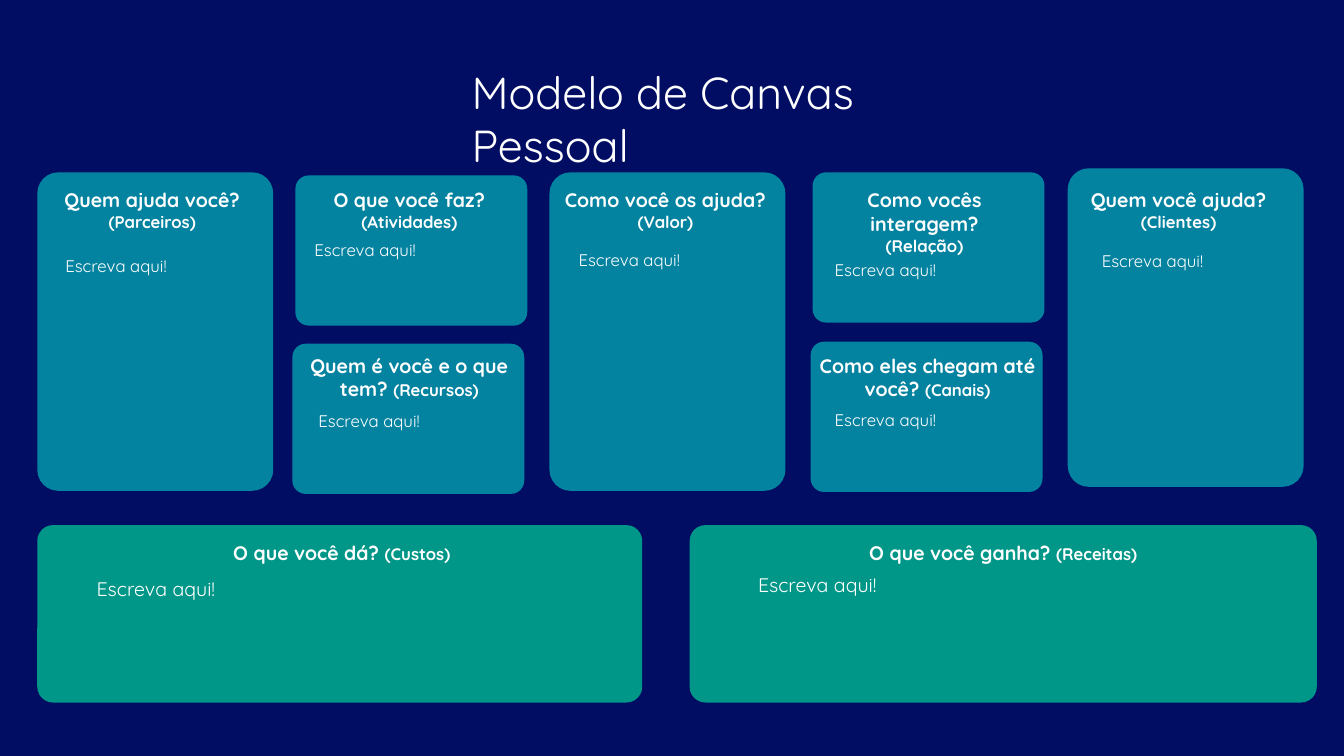
from pptx import Presentation
from pptx.dml.color import RGBColor
from pptx.enum.shapes import MSO_SHAPE
from pptx.enum.text import PP_ALIGN
from pptx.util import Inches, Pt

COLORS = {"back": "000D63", "blue": "0483A0", "green": "009688", "white": "FFFFFF"}
FONT = "Quicksand"
NOTE = "Escreva aqui!"

# Card sizes: width, height
TALL = (2.34, 3.16)
SMALL = (2.3, 1.49)
COST = (6, 1.76)
GAIN = (6.22, 1.76)

# Left, top, size, heading lines of (text, points), heading offset, note offset
BLOCKS = [
    (0.37, 1.71, TALL, [[("Quem ajuda você?", 14)], [("(Parceiros)", 12)]],
     (-0.03, 0.11), (0.18, 0.78)),
    (2.93, 1.74, SMALL, [[("O que você faz?", 14)], [("(Atividades)", 12)]],
     (-0.04, 0.08), (0.09, 0.59)),
    (2.9, 3.41, SMALL, [[("Quem é você e o que tem? ", 14), ("(Recursos)", 12)]],
     (-0.01, 0.05), (0.16, 0.62)),
    (5.45, 1.71, TALL, [[("Como você os ajuda?", 14)], [("(Valor)", 12)]],
     (-0.02, 0.11), (0.19, 0.72)),
    (8.06, 1.71, SMALL, [[("Como vocês interagem?", 14)], [("(Relação)", 12)]],
     (-0.06, 0.11), (0.12, 0.82)),
    (8.04, 3.39, SMALL, [[("Como eles chegam até você? ", 14), ("(Canais)", 12)]],
     (-0.01, 0.07), (0.14, 0.63)),
    (10.59, 1.67, TALL, [[("Quem você ajuda?", 14)], [("(Clientes)", 12)]],
     (-0.07, 0.15), (0.24, 0.77)),
]
TOTALS = [
    (0.37, 5.21, COST, [[("O que você dá? ", 14), ("(Custos)", 12)]],
     (0.04, 0.11), (0.49, 0.46)),
    (6.84, 5.21, GAIN, [[("O que você ganha? ", 14), ("(Receitas)", 12)]],
     (0.13, 0.11), (0.58, 0.42)),
]


def color(name):
    return RGBColor.from_string(COLORS[name])


def write(slide, lines, left, top, width, height, bold=False, align=PP_ALIGN.LEFT):
    box = slide.shapes.add_textbox(
        Inches(left), Inches(top), Inches(width), Inches(height))
    frame = box.text_frame
    frame.word_wrap = True
    for i, line in enumerate(lines):
        para = frame.add_paragraph() if i else frame.paragraphs[0]
        para.alignment = align
        for text, size in line:
            run = para.add_run()
            run.text = text
            font = run.font
            font.name = FONT
            font.size = Pt(size)
            font.bold = bold
            font.color.rgb = color("white")


def card(slide, left, top, size, head, shift, inset, fill, points, span, room):
    width, height = size
    panel = slide.shapes.add_shape(
        MSO_SHAPE.ROUNDED_RECTANGLE,
        Inches(left), Inches(top), Inches(width), Inches(height))
    panel.adjustments[0] = 0.089
    panel.shadow.inherit = False
    panel.fill.solid()
    panel.fill.fore_color.rgb = color(fill)
    panel.line.fill.background()

    # Heading and note
    write(slide, head, left + shift[0], top + shift[1], span, 0.54,
          bold=True, align=PP_ALIGN.CENTER)
    write(slide, [[(NOTE, points)]], left + inset[0], top + inset[1], room, 0.3)


def canvas(slide):
    # Background and title
    slide.background.fill.solid()
    slide.background.fill.fore_color.rgb = color("back")
    write(slide, [[("Modelo de Canvas Pessoal", 32)]], 4.58, 0.59, 5.5, 0.64)

    # Upper blocks
    for block in BLOCKS:
        card(slide, *block, fill="blue", points=12, span=2.34, room=2.04)

    # Costs and gains
    for total in TOTALS:
        card(slide, *total, fill="green", points=14, span=5.96, room=5.03)


def main():
    deck = Presentation()
    deck.slide_width = Inches(13.33)
    deck.slide_height = Inches(7.5)
    canvas(deck.slides.add_slide(deck.slide_layouts[6]))
    deck.save("out.pptx")


if __name__ == "__main__":
    main()
